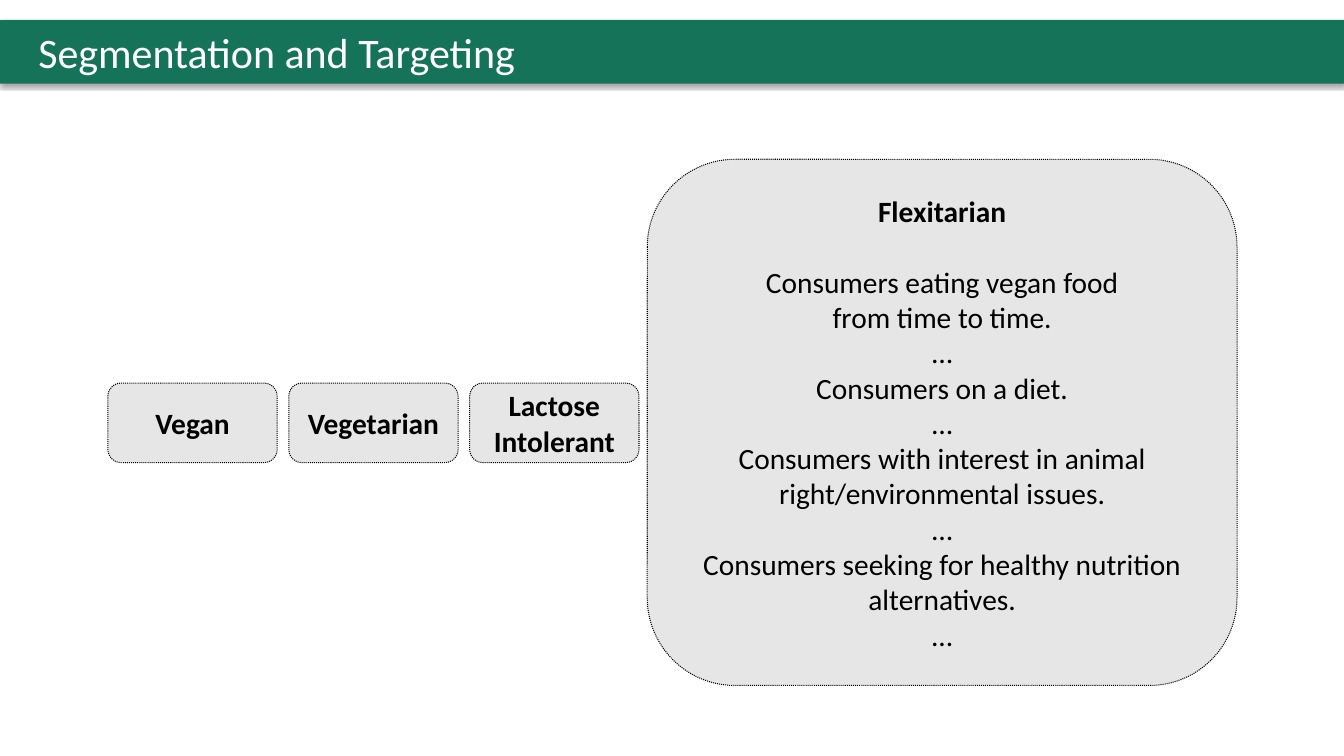
from dataclasses import dataclass

from lxml.etree import SubElement
from pptx import Presentation
from pptx.dml.color import RGBColor
from pptx.enum.dml import MSO_LINE
from pptx.enum.shapes import MSO_SHAPE
from pptx.enum.text import MSO_ANCHOR, PP_ALIGN
from pptx.oxml.ns import qn
from pptx.util import Inches, Pt


@dataclass(frozen=True)
class Theme:
    font: str = "Calibri"
    banner: RGBColor = RGBColor(0x15, 0x73, 0x59)
    card: RGBColor = RGBColor(0xE7, 0xE6, 0xE6)
    ink: RGBColor = RGBColor(0, 0, 0)
    paper: RGBColor = RGBColor(255, 255, 255)
    title_size: float = 30
    body_size: float = 21
    outline: float = 0.75


THEME = Theme()
WIDTH, HEIGHT = Inches(13.33), Inches(7.5)

# Segment cards in percent of the slide: first column, pitch, top and size
FIRST_LEFT, PITCH, SEGMENT_TOP = 8.03, 13.46, 50.67
SEGMENT_WIDTH, SEGMENT_HEIGHT = 12.6, 10.53

SEGMENTS = ["Vegan", "Vegetarian", "Lactose Intolerant"]
FLEXITARIAN = [
    "Consumers eating vegan food",
    "from time to time.",
    "…",
    "Consumers on a diet.",
    "…",
    "Consumers with interest in animal right/environmental issues.",
    "…",
    "Consumers seeking for healthy nutrition alternatives.",
    "...",
]


def add_block(slide, kind, left, top, width, height, fill):
    """Add a filled shape placed in percent of the slide."""
    shape = slide.shapes.add_shape(
        kind,
        int(WIDTH * left / 100), int(HEIGHT * top / 100),
        int(WIDTH * width / 100), int(HEIGHT * height / 100),
    )
    shape.shadow.inherit = False
    shape.fill.solid()
    shape.fill.fore_color.rgb = fill
    shape.text_frame.word_wrap = True
    shape.text_frame.vertical_anchor = MSO_ANCHOR.MIDDLE
    return shape


def write(paragraph, text, size, color, bold=False, align=PP_ALIGN.CENTER):
    paragraph.alignment = align
    run = paragraph.add_run()
    run.text = text
    run.font.name = THEME.font
    run.font.size = Pt(size)
    run.font.bold = bold
    run.font.color.rgb = color


def add_drop_shadow(shape):
    effects = shape._element.spPr.find(qn("a:effectLst"))
    shadow = SubElement(
        effects, qn("a:outerShdw"), blurRad=str(Pt(3.1)), dist=str(Pt(1.6)),
        dir="5400000", algn="t", rotWithShape="0",
    )
    color = SubElement(shadow, qn("a:srgbClr"), val=str(THEME.ink))
    SubElement(color, qn("a:alpha"), val="37000")


def add_banner(slide, title):
    banner = add_block(slide, MSO_SHAPE.RECTANGLE, 0, 2.67, 100, 8.4, THEME.banner)
    banner.line.fill.background()
    add_drop_shadow(banner)
    frame = banner.text_frame
    frame.margin_left = Inches(0.38)
    write(frame.paragraphs[0], title, THEME.title_size, THEME.paper, align=PP_ALIGN.LEFT)


def add_card(slide, left, top, width, height, heading, lines=()):
    card = add_block(slide, MSO_SHAPE.ROUNDED_RECTANGLE, left, top, width, height, THEME.card)
    card.line.color.rgb = THEME.ink
    card.line.width = Pt(THEME.outline)
    card.line.dash_style = MSO_LINE.ROUND_DOT
    frame = card.text_frame
    frame.margin_left = frame.margin_right = Inches(0.1)
    frame.margin_top = frame.margin_bottom = Inches(0.1)
    write(frame.paragraphs[0], heading, THEME.body_size, THEME.ink, bold=True)
    if lines:
        # One line of air between heading and details
        frame.paragraphs[0].space_after = Pt(25.6)
    for line in lines:
        write(frame.add_paragraph(), line, THEME.body_size, THEME.ink)


def main():
    presentation = Presentation()
    presentation.slide_width, presentation.slide_height = WIDTH, HEIGHT
    slide = presentation.slides.add_slide(presentation.slide_layouts[6])

    add_banner(slide, "Segmentation and Targeting")

    # Small segments in a row
    for column, segment in enumerate(SEGMENTS):
        add_card(slide, FIRST_LEFT + column * PITCH, SEGMENT_TOP,
                 SEGMENT_WIDTH, SEGMENT_HEIGHT, segment)

    # Main target segment
    add_card(slide, 48.16, 21.07, 43.88, 69.6, "Flexitarian", FLEXITARIAN)

    presentation.save("out.pptx")


if __name__ == "__main__":
    main()
